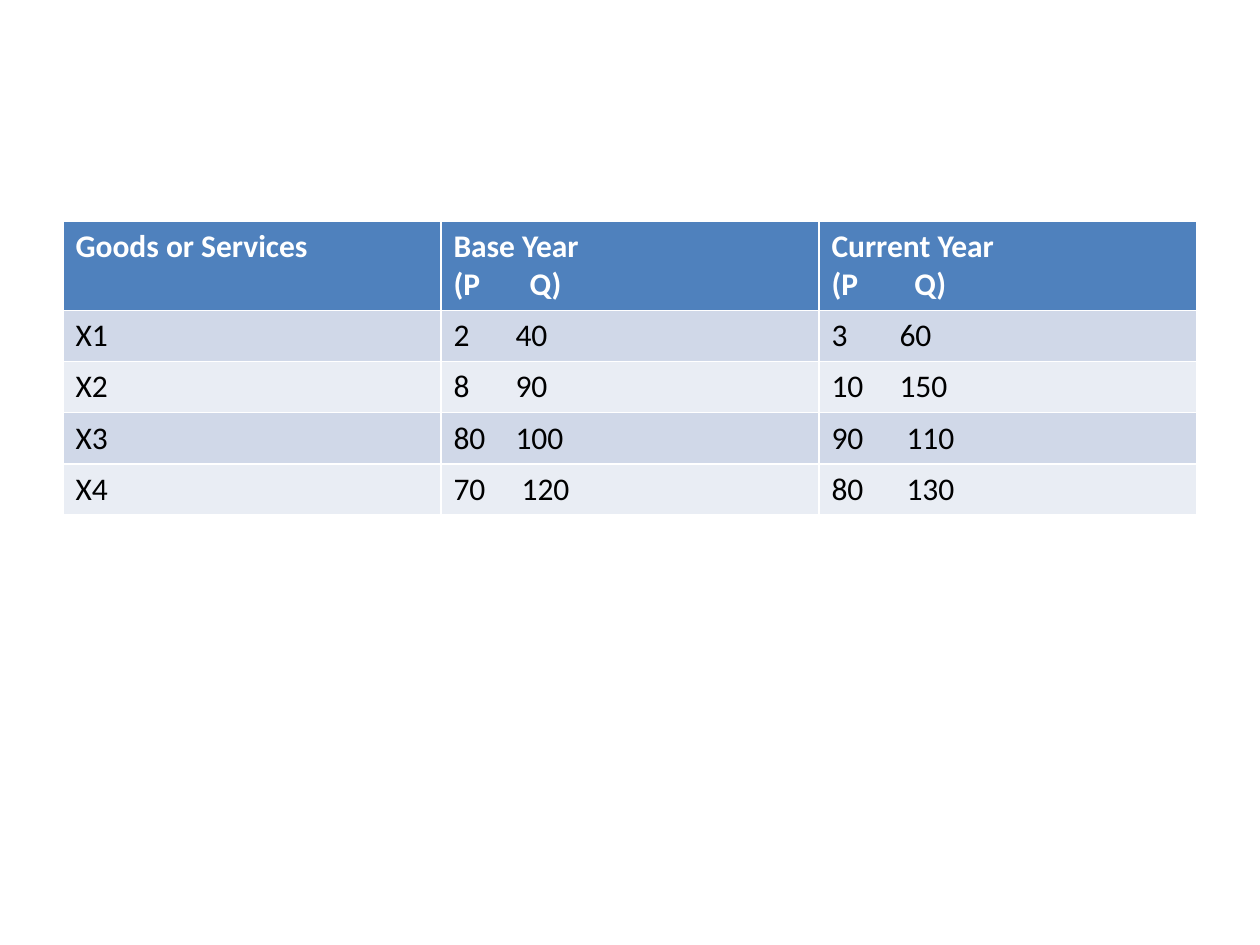
"""Build a slide with a table of base and current year prices and quantities."""
from lxml.etree import SubElement
from pptx import Presentation
from pptx.dml.color import RGBColor
from pptx.oxml.ns import qn
from pptx.util import Emu, Pt

PX = 914400 // 126
HEADER = RGBColor(0x4F, 0x81, 0xBD)
BANDS = RGBColor(0xD0, 0xD8, 0xE8), RGBColor(0xE9, 0xED, 0xF4)
WHITE = RGBColor(0xFF, 0xFF, 0xFF)
BLACK = RGBColor(0x00, 0x00, 0x00)


def number_before(p, number, gap):
    pPr = p._p.get_or_add_pPr()
    pPr.set("marL", str(gap * PX))
    pPr.set("indent", str(-gap * PX))
    SubElement(pPr, qn("a:buAutoNum"), type="arabicPlain", startAt=str(number))


def tab_at(p, gap):
    tabs = SubElement(p._p.get_or_add_pPr(), qn("a:tabLst"))
    SubElement(tabs, qn("a:tab"), pos=str(gap * PX), algn="l")


# Each paragraph is (list number, text, gap to the quantity).
ROWS = [
    [[(None, "Goods or Services", 0)],
     [(None, "Base Year", 0), (None, "(P\tQ)", 76)],
     [(None, "Current Year", 0), (None, "(P\tQ)", 83)]],
    [[(None, "X1", 0)], [(2, "40", 62)], [(3, "60", 68)]],
    [[(None, "X2", 0)], [(8, "90", 62)], [(10, "150", 68)]],
    [[(None, "X3", 0)], [(80, "100", 62)], [(None, "90\t110", 75)]],
    [[(None, "X4", 0)], [(None, "70\t120", 68)], [(None, "80\t130", 75)]],
]
HEIGHTS = [88, 51, 51, 51, 51]

prs = Presentation()
prs.slide_width = Emu(1260 * PX)
prs.slide_height = Emu(945 * PX)
s = prs.slides.add_slide(prs.slide_layouts[6])

table = s.shapes.add_table(
    len(ROWS), 3, Emu(63 * PX), Emu(221 * PX),
    Emu(1134 * PX), Emu(sum(HEIGHTS) * PX)).table

for i, (row, height) in enumerate(zip(ROWS, HEIGHTS)):
    table.rows[i].height = Emu(height * PX)
    for j, paragraphs in enumerate(row):
        cell = table.cell(i, j)
        cell.fill.solid()
        cell.fill.fore_color.rgb = BANDS[(i - 1) % 2] if i else HEADER
        tf = cell.text_frame
        for k, (number, text, gap) in enumerate(paragraphs):
            p = tf.add_paragraph() if k else tf.paragraphs[0]
            if number:
                number_before(p, number, gap)
            elif gap:
                tab_at(p, gap)
            r = p.add_run()
            r.text = text
            r.font.name = "Calibri"
            r.font.size = Pt(18)
            r.font.bold = i == 0
            r.font.color.rgb = BLACK if i else WHITE

prs.save("out.pptx")
